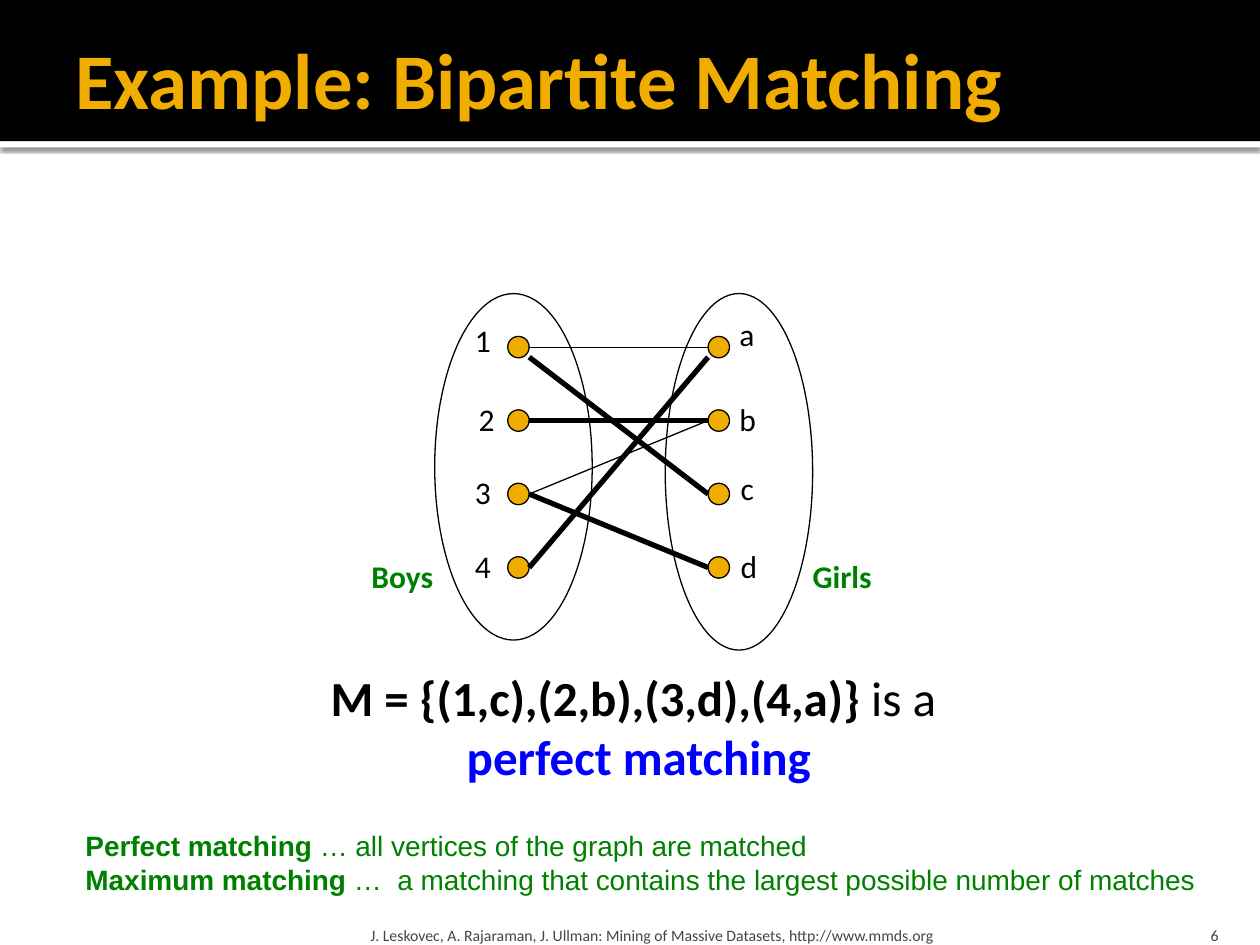
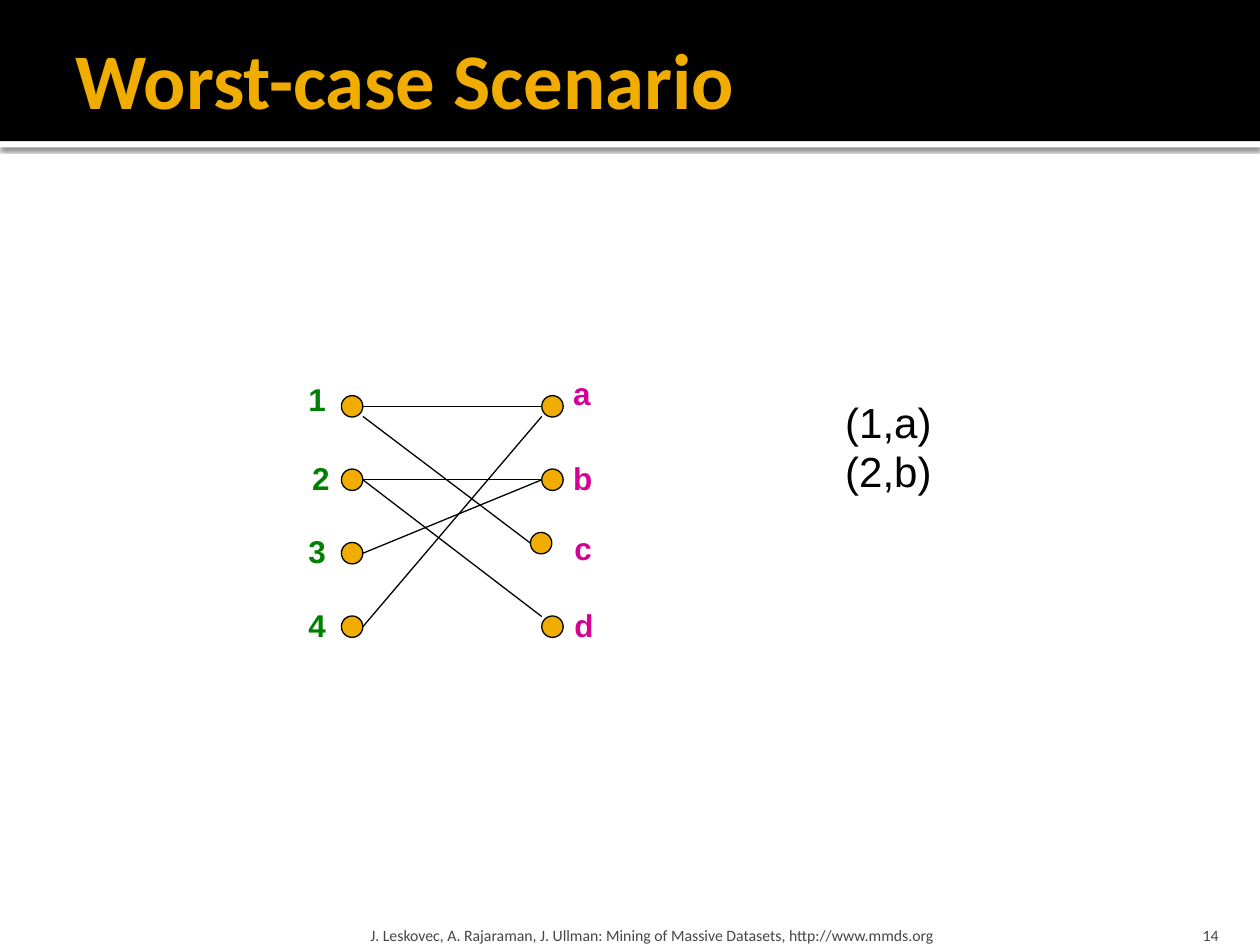
from lxml import etree
from pptx import Presentation
from pptx.dml.color import RGBColor
from pptx.enum.shapes import MSO_CONNECTOR, MSO_SHAPE
from pptx.enum.text import MSO_ANCHOR, MSO_AUTO_SIZE, PP_ALIGN
from pptx.oxml.ns import qn
from pptx.util import Inches, Pt

COLOURS = {
    "black": "000000", "white": "FFFFFF", "gold": "F0AD00", "green": "008000",
    "blue": "0000FF", "pink": "D60093", "grey": "454545",
}
FOOTER = "J. Leskovec, A. Rajaraman, J. Ullman: Mining of Massive Datasets, http://www.mmds.org"

# Graph geometry, relative to the top left node
DOT = 0.17
ROW_STEP = 0.583
COLUMN_STEP = 1.59
LEFT_LABELS = [("1", -0.36, -0.17), ("2", -0.33, -0.13), ("3", -0.36, -0.13), ("4", -0.36, -0.13)]
RIGHT_LABELS = [("a", 1.74, -0.22), ("b", 1.74, -0.13), ("c", 1.75, -0.16), ("d", 1.75, -0.13)]


def colour(name):
    return RGBColor.from_string(COLOURS[name])


def inches(box):
    return [Inches(value) for value in box]


# Basic parts
def add_span(para, text, size, tint, font="Calibri", bold=False):
    span = para.add_run()
    span.text = text
    span.font.name, span.font.size, span.font.bold = font, Pt(size), bold
    span.font.color.rgb = colour(tint)


def add_text_box(shapes, box):
    """Add an unwrapped box that fits its text; return its text frame."""
    frame = shapes.add_textbox(*inches(box)).text_frame
    frame.word_wrap = False
    frame.auto_size = MSO_AUTO_SIZE.SHAPE_TO_FIT_TEXT
    return frame


def add_label(shapes, box, text, size, tint, font="Calibri", bold=False):
    add_span(add_text_box(shapes, box).paragraphs[0], text, size, tint, font, bold)


def add_figure(shapes, kind, box, fill=None, line=None):
    figure = shapes.add_shape(kind, *inches(box))
    figure.shadow.inherit = False
    if fill:
        figure.fill.solid()
        figure.fill.fore_color.rgb = colour(fill)
    else:
        figure.fill.background()
    if line:
        figure.line.color.rgb = colour(line)
        figure.line.width = Pt(0.75)
    else:
        figure.line.fill.background()
    return figure


def add_line(shapes, start, end, width):
    line = shapes.add_connector(MSO_CONNECTOR.STRAIGHT, *inches(start + end))
    line.line.color.rgb = colour("black")
    line.line.width = Pt(width)
    etree.SubElement(line._element.spPr, qn("a:effectLst"))


# Shared frame of the slides
def add_bands(layout, page):
    """Build the header bands and place them on the layout."""
    strip = add_figure(page.shapes, MSO_SHAPE.RECTANGLE, (0, 1.12, 10, 0.05), "white")
    band = add_figure(page.shapes, MSO_SHAPE.RECTANGLE, (0, 0, 10, 1.12), "black")
    effects = strip._element.spPr.find(qn("a:effectLst"))
    shadow = etree.SubElement(effects, qn("a:outerShdw"), blurRad=str(Pt(2.5)),
                              dist=str(Pt(0.8)), dir="5400000", rotWithShape="0")
    tint = etree.SubElement(shadow, qn("a:srgbClr"), val=COLOURS["black"])
    etree.SubElement(tint, qn("a:alpha"), val="60000")
    for position, figure in enumerate((strip, band), start=2):
        layout.shapes._spTree.insert(position, figure._element)


def add_title(page, text):
    title = page.shapes.title
    title.left, title.top, title.width, title.height = inches((0.5, 0.08, 9, 1.08))
    frame = title.text_frame
    frame.auto_size = MSO_AUTO_SIZE.NONE
    frame.vertical_anchor = MSO_ANCHOR.MIDDLE
    frame.margin_left = Inches(0.1)
    frame.margin_right = frame.margin_top = frame.margin_bottom = Inches(0.05)
    para = frame.paragraphs[0]
    para.alignment = PP_ALIGN.LEFT
    add_span(para, text, 45, "gold", bold=True)


def add_footer(page, number):
    parts = [((8.97, 7.2, 0.8, 0.3), str(number), 0.1, PP_ALIGN.RIGHT),
             ((2.89, 7.2, 6.02, 0.3), FOOTER, 0.05, PP_ALIGN.LEFT)]
    for box, text, margin, alignment in parts:
        frame = page.shapes.add_textbox(*inches(box)).text_frame
        frame.word_wrap = True
        frame.vertical_anchor = MSO_ANCHOR.BOTTOM
        frame.margin_left = frame.margin_right = Inches(margin)
        frame.margin_bottom = 0
        frame.paragraphs[0].alignment = alignment
        add_span(frame.paragraphs[0], text, 9, "grey")


def add_page(deck, layout, title, number):
    page = deck.slides.add_slide(layout)
    add_title(page, title)
    add_footer(page, number)
    return page


# Bipartite graph
def add_graph(page, left, top, edges, tints, font="Calibri", bold=False, shifts=None):
    """Draw nodes, labels and edges (from, to, width, start drop, end drop)."""
    shapes = page.shapes.add_group_shape().shapes
    nodes = {}
    sides = [(LEFT_LABELS, 0, tints[0]), (RIGHT_LABELS, COLUMN_STEP, tints[1])]
    for labels, offset, tint in sides:
        for row, (name, label_x, label_y) in enumerate(labels):
            row_top = top + row * ROW_STEP
            shift_x, shift_y = (shifts or {}).get(name, (0, 0))
            x, y = left + offset + shift_x, row_top + shift_y
            nodes[name] = (x, y + DOT / 2)
            add_figure(shapes, MSO_SHAPE.OVAL, (x, y, DOT, DOT), "gold", "black")
            add_label(shapes, (left + label_x, row_top + label_y, 0.36, 0.4),
                      name, 18, tint, font, bold)
    for start, end, width, start_drop, end_drop in edges:
        (start_x, start_y), (end_x, end_y) = nodes[start], nodes[end]
        add_line(shapes, (start_x + DOT, start_y + start_drop),
                 (end_x, end_y + end_drop), width)
    return shapes


def add_sets(shapes, left, top):
    """Ring the two node columns and name them."""
    for x, width, height in ((-0.58, 1.25, 2.75), (1.25, 1.17, 2.83)):
        add_figure(shapes, MSO_SHAPE.OVAL, (left + x, top - 0.34, width, height), line="black")
    for x, width, name in ((-1.18, 0.74, "Boys"), (2.32, 0.69, "Girls")):
        add_label(shapes, (left + x, top + 1.7, width, 0.4), name, 18, "green", bold=True)


# Text regions
def add_matching(page, box):
    para = add_text_box(page.shapes, box).paragraphs[0]
    para.alignment = PP_ALIGN.CENTER
    add_span(para, "M = {(1,c),(2,b),(3,d),(4,a)}", 28, "black", bold=True)
    add_span(para, " is a ", 28, "black")
    para.add_line_break()
    add_span(para, "perfect matching", 28, "blue", bold=True)


def add_definitions(page, box):
    frame = add_text_box(page.shapes, box)
    definitions = [
        ("Perfect matching", " … all vertices of the graph are matched"),
        ("Maximum matching",
         " …  a matching that contains the largest possible number of matches"),
    ]
    for index, (term, meaning) in enumerate(definitions):
        para = frame.add_paragraph() if index else frame.paragraphs[0]
        add_span(para, term, 16, "green", "Arial", True)
        add_span(para, meaning, 16, "green", "Arial")


def add_pairs(page, left, top):
    for row, pair in enumerate(("(1,a)", "(2,b)")):
        add_label(page.shapes, (left, top + row * 0.39, 0.89, 0.5), pair, 24, "black", "Arial")


deck = Presentation()
deck.slide_width, deck.slide_height = Inches(10), Inches(7.5)
title_only = deck.slide_layouts[5]

# Perfect matching: matched edges are thick
matching = add_page(deck, title_only, "Example: Bipartite Matching", 6)
add_bands(title_only, matching)
matched_edges = [
    ("1", "a", 0.25, 0, 0), ("1", "c", 3, 0.08, 0), ("2", "b", 3, 0, 0),
    ("3", "b", 0.75, 0, 0), ("3", "d", 3, 0, 0), ("4", "a", 3, 0, 0.08),
]
graph = add_graph(matching, 4.03, 2.67, matched_edges, ("black", "black"))
add_sets(graph, 4.03, 2.67)
add_matching(matching, (2.49, 5.25, 5.16, 1.04))
add_definitions(matching, (0.58, 6.53, 9.19, 0.64))

# Greedy worst case
worst_case = add_page(deck, title_only, "Worst-case Scenario", 14)
plain_edges = [
    ("1", "a", 0.75, 0, 0), ("4", "a", 0.75, 0, 0.08), ("2", "b", 0.75, 0, 0),
    ("3", "b", 0.75, 0, 0), ("1", "c", 0.75, 0.08, 0), ("2", "d", 0.75, 0, -0.08),
]
add_graph(worst_case, 2.71, 3.14, plain_edges, ("green", "pink"), "Arial", True,
          shifts={"c": (-0.09, -0.08)})
add_pairs(worst_case, 6.61, 3.1)

deck.save("out.pptx")
